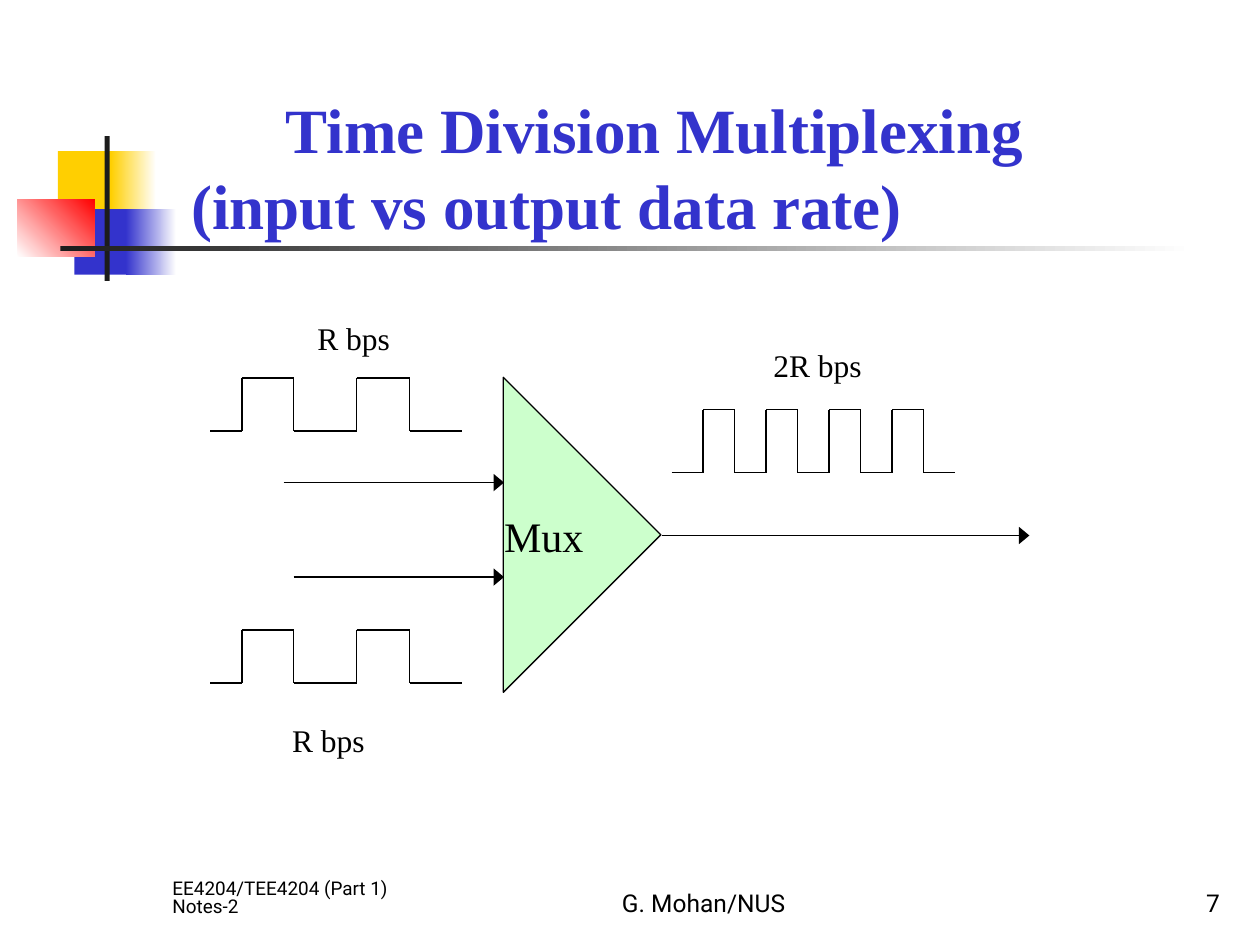
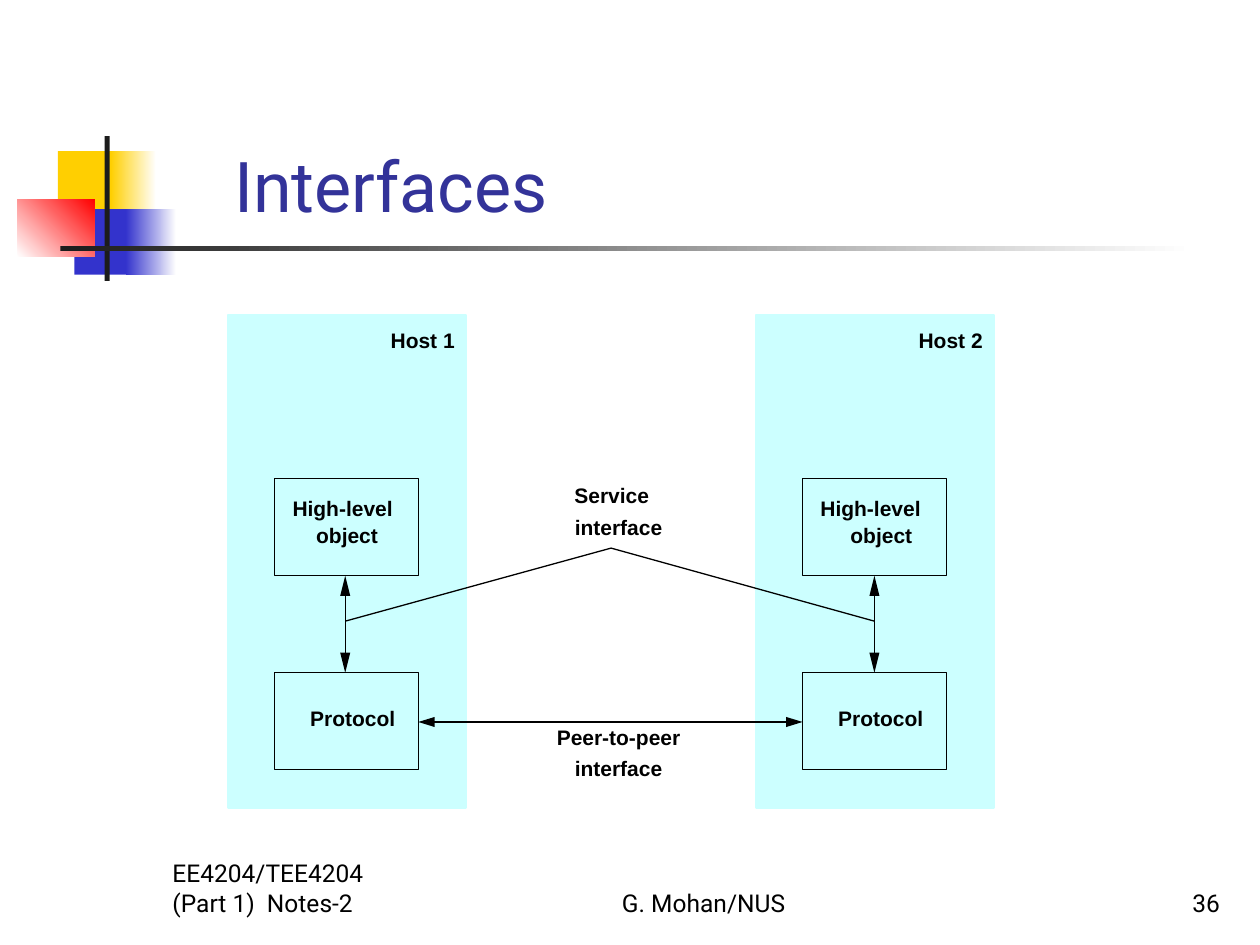
import pptx
import pptx.util
import pptx.dml.color
import pptx.enum.shapes
import pptx.enum.text
import pptx.oxml.ns
from lxml import etree

Inches, Pt = pptx.util.Inches, pptx.util.Pt
MSO_SHAPE = pptx.enum.shapes.MSO_SHAPE
ALIGN = pptx.enum.text.PP_ALIGN
ANCHOR = pptx.enum.text.MSO_ANCHOR
qn = pptx.oxml.ns.qn

COLORS = {
    "black": "000000", "white": "FFFFFF", "ink": "1C1C1C",
    "yellow": "FFCF01", "blue": "3333CC", "red": "FF0000",
    "indigo": "333399", "mint": "CCFFCC", "cyan": "CCFFFF",
}
SERIF, SANS, UI = "Times New Roman", "Arial", "Roboto"

# box, colour or gradient pair, gradient angle
BANNER = [
    ((0.46, 1.2, 0.48, 0.52), ("yellow",), 0),
    ((0.88, 1.2, 0.36, 0.52), ("yellow", "white"), 0),
    ((0.59, 1.66, 0.46, 0.52), ("blue",), 0),
    ((1, 1.66, 0.4, 0.52), ("blue", "white"), 0),
    ((0.14, 1.58, 0.61, 0.46), ("white", "red"), 45),
    ((0.83, 1.08, 0.04, 1.15), ("ink",), 0),
    ((0.48, 1.95, 9, 0.04), ("ink", "white"), 0),
]
COURSE, AUTHOR = "EE4204/TEE4204 (Part 1)  Notes-2", "G. Mohan/NUS"

MUX_TITLE = ["Time Division Multiplexing", "(input vs output data rate)"]
RATES = [("R bps", 2.42, 2.48), ("R bps", 2.22, 5.67), ("2R bps", 6.04, 2.7)]
FLOWS = [((2.25, 3.83), (4, 3.83)), ((2.33, 4.58), (4, 4.58)),
         ((5.25, 4.25), (8.17, 4.25))]
INPUT_EDGES = [1.67, 1.92, 2.33, 2.83, 3.25, 3.67]
OUTPUT_EDGES = [5.33 + 0.25 * i for i in range(10)]
# edges, low level, high level
WAVES = [(INPUT_EDGES, 5.42, 5), (INPUT_EDGES, 3.42, 3),
         (OUTPUT_EDGES, 3.75, 3.25)]

# name, panel left, left of the word "object", centre of the service arrow
HOSTS = [("Host 1", 1.81, 2.51, 2.74), ("Host 2", 6, 6.75, 6.94)]
HOST_LABELS = [("High-level", 0.51, 3.93, 0.8), ("Protocol", 0.65, 5.6, 0.68)]
BOX_DX, BOX_W, BOX_H = 0.37, 1.14, 0.77
OBJECT_TOP, PROTOCOL_TOP = 3.8, 5.34
INTERFACE_LABELS = [
    ("Service", 4.56, 3.83, 0.59), ("interface", 4.56, 4.08, 0.7),
    ("Peer-to-peer", 4.39, 5.75, 1.04), ("interface", 4.56, 6, 0.7),
]
SERVICE_PEAK, SERVICE_Y, PEER_Y = (4.85, 4.35), 4.93, 5.73


def rgb(name):
    return pptx.dml.color.RGBColor.from_string(COLORS[name])


def paint(sp, fill=(), line=None, width=0.75, angle=0):
    sp.shadow.inherit = False
    if len(fill) == 2:
        sp.fill.gradient()
        sp.fill.gradient_angle = angle
        for stop, name in zip(sp.fill.gradient_stops, fill):
            stop.color.rgb = rgb(name)
    elif fill:
        sp.fill.solid()
        sp.fill.fore_color.rgb = rgb(fill[0])
    else:
        sp.fill.background()
    if line:
        sp.line.color.rgb = rgb(line)
        sp.line.width = Pt(width)
    else:
        sp.line.fill.background()
    return sp


def shape(s, kind, box, *style, **more):
    return paint(s.shapes.add_shape(kind, *map(Inches, box)), *style, **more)


def outline(s, points, close, *style):
    pts = [tuple(map(Inches, pt)) for pt in points]
    fb = s.shapes.build_freeform(*pts[0])
    fb.add_line_segments(pts[1:], close=close)
    return paint(fb.convert_to_shape(), *style)


def line(s, start, end, arrow=False):
    c = s.shapes.add_connector(pptx.enum.shapes.MSO_CONNECTOR.STRAIGHT,
                               *map(Inches, start + end))
    c.line.color.rgb = rgb("black")
    c.line.width = Pt(0.75)
    if arrow:
        etree.SubElement(c.line._get_or_add_ln(), qn("a:tailEnd"),
                         type="triangle", w="lg", len="med")
    etree.SubElement(c._element.spPr, qn("a:effectLst"))


def double_arrow(s, start, end, length, half):
    """Draw a level or upright line with a slim solid head at each tip."""
    (x1, y1), (x2, y2) = start, end
    dx, dy = int(x2 > x1), int(y2 > y1)
    inset = 0.1
    line(s, (x1 + dx * inset, y1 + dy * inset),
         (x2 - dx * inset, y2 - dy * inset))
    for (x, y), back in ((start, length), (end, -length)):
        bx, by = x + dx * back, y + dy * back
        outline(s, [(x, y), (bx + dy * half, by + dx * half),
                    (bx - dy * half, by - dx * half)], True, ("black",))


def text(s, box, lines, size, font, color="black", bold=False,
         align=ALIGN.LEFT, anchor=ANCHOR.TOP, inset=(0.1, 0.05), wrap=True):
    tf = s.shapes.add_textbox(*map(Inches, box)).text_frame
    tf.word_wrap = wrap
    tf.vertical_anchor = anchor
    tf.margin_left = tf.margin_right = Inches(inset[0])
    tf.margin_top = tf.margin_bottom = Inches(inset[1])
    p = tf.paragraphs[0]
    p.alignment = align
    for i, words in enumerate(lines):
        if i:
            p.add_line_break()
        r = p.add_run()
        r.text = words
        r.font.size, r.font.name, r.font.bold = Pt(size), font, bold
        r.font.color.rgb = rgb(color)
    return p


def label(s, words, left, top, width):
    slack = 0.05
    text(s, (left - slack, top, width + 2 * slack, 0.2), [words], 12, SANS,
         bold=True, align=ALIGN.CENTER, inset=(0, 0), wrap=False)


def new_slide(prs, number, course_size, course_spacing):
    s = prs.slides.add_slide(prs.slide_layouts[6])
    for box, fill, angle in BANNER:
        shape(s, MSO_SHAPE.RECTANGLE, box, fill, angle=angle)
    footers = [(1.27, 2.08, COURSE, course_size, ALIGN.LEFT),
               (4, 3.17, AUTHOR, 14, ALIGN.CENTER),
               (7.7, 2.08, str(number), 14, ALIGN.RIGHT)]
    for left, width, words, size, align in footers:
        p = text(s, (left, 6.83, width, 0.5), [words], size, UI,
                 align=align, anchor=ANCHOR.BOTTOM)
        if words == COURSE:
            p.line_spacing = course_spacing
    return s


def wave(s, edges, low, high):
    """Draw a square wave that changes level at each inner edge."""
    levels = [low, high]
    for i, (x1, x2) in enumerate(zip(edges, edges[1:])):
        y, after = levels[i % 2], levels[(i + 1) % 2]
        line(s, (x1, y), (x2, y))
        if x2 != edges[-1]:
            line(s, (x2, y), (x2, after))


def multiplexing_slide(prs):
    s = new_slide(prs, 7, 10.8, 0.8)
    mux = shape(s, MSO_SHAPE.ISOSCELES_TRIANGLE, (3.37, 3.62, 2.5, 1.25),
                ("mint",), "black")
    mux.rotation = 90
    text(s, (4, 4.05, 0.65, 0.4), ["Mux"], 24, SERIF, inset=(0, 0), wrap=False)
    for start, end in FLOWS:
        line(s, start, end, arrow=True)
    for edges, low, high in WAVES:
        wave(s, edges, low, high)
    p = text(s, (1.42, 0.67, 7.83, 1.3), MUX_TITLE, 36, SERIF, "blue", True)
    p._p.get_or_add_pPr().set("indent", str(Inches(0.75)))
    for words, left, top in RATES:
        text(s, (left, top, 1.04, 0.4), [words], 18, SERIF)


def interfaces_slide(prs):
    s = new_slide(prs, 36, 14, 1.0)
    for name, left, object_left, arrow_x in HOSTS:
        shape(s, MSO_SHAPE.RECTANGLE, (left, 2.5, 1.89, 3.91),
              ("cyan",), "cyan", 1.5)
        for top in (OBJECT_TOP, PROTOCOL_TOP):
            shape(s, MSO_SHAPE.RECTANGLE, (left + BOX_DX, top, BOX_W, BOX_H),
                  line="black")
        label(s, name, left + 1.29, 2.6, 0.51)
        for words, dx, top, width in HOST_LABELS:
            label(s, words, left + dx, top, width)
        label(s, "object", object_left, 4.15, 0.49)
        double_arrow(s, (arrow_x, OBJECT_TOP + BOX_H),
                     (arrow_x, PROTOCOL_TOP), 0.16, 0.04)

    x1, x2 = (arrow_x for *_, arrow_x in HOSTS)
    outline(s, [(x1, SERVICE_Y), SERVICE_PEAK, (x2, SERVICE_Y)], False,
            (), "black")

    x1, x2 = (left + BOX_DX for _, left, *_ in HOSTS)
    double_arrow(s, (x1 + BOX_W, PEER_Y), (x2, PEER_Y), 0.13, 0.04)
    for words, left, top, width in INTERFACE_LABELS:
        label(s, words, left, top, width)
    text(s, (1.76, 0.98, 8.24, 0.87), ["Interfaces"], 40, UI, "indigo",
         anchor=ANCHOR.BOTTOM)


def main():
    prs = pptx.Presentation()
    prs.slide_width, prs.slide_height = Inches(10), Inches(7.5)
    multiplexing_slide(prs)
    interfaces_slide(prs)
    prs.save("out.pptx")


if __name__ == "__main__":
    main()
